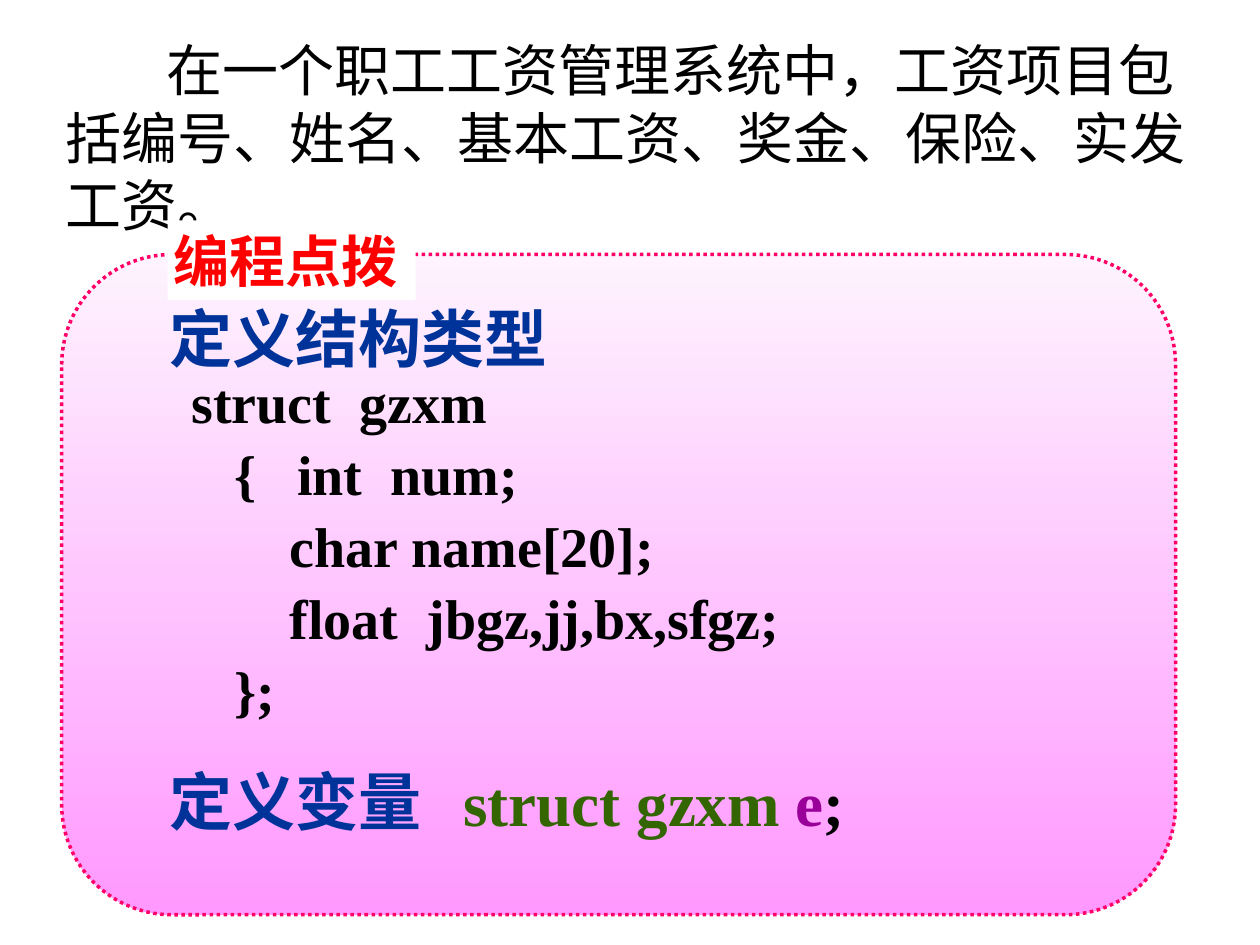
from pptx import Presentation
from pptx.dml.color import RGBColor
from pptx.enum.dml import MSO_LINE
from pptx.enum.shapes import MSO_SHAPE
from pptx.enum.text import MSO_ANCHOR, MSO_AUTO_SIZE, PP_ALIGN
from pptx.util import Inches, Pt


def rgb(value):
    return RGBColor.from_string(value)


class SlideBuilder:
    font = "Times New Roman"
    black = "000000"
    red = "FF0000"
    blue = "003399"
    green = "336600"
    purple = "990099"

    def __init__(self, slide):
        self.slide = slide

    def style(self, p, size, color=None, bold=True):
        p.font.name = self.font
        p.font.size = Pt(size)
        p.font.bold = bold
        if color:
            p.font.color.rgb = rgb(color)

    def indent(self, p, left, first):
        pPr = p._p.get_or_add_pPr()
        pPr.set("marL", str(Inches(left)))
        pPr.set("indent", str(Inches(first)))

    def place(self, sp, box):
        sp.left, sp.top, sp.width, sp.height = map(Inches, box)

    def title(self, text, box, first):
        sp = self.slide.shapes.title
        self.place(sp, box)
        tf = sp.text_frame
        tf.text = text
        tf.word_wrap = True
        tf.auto_size = MSO_AUTO_SIZE.NONE
        tf.vertical_anchor = MSO_ANCHOR.MIDDLE
        p = tf.paragraphs[0]
        p.alignment = PP_ALIGN.LEFT
        self.indent(p, 0, first)
        self.style(p, 32, self.black, bold=False)

    def panel(self, box):
        sp = self.slide.shapes.add_shape(MSO_SHAPE.ROUNDED_RECTANGLE, *map(Inches, box))
        sp.shadow.inherit = False
        sp.fill.gradient()
        sp.fill.gradient_angle = 270
        for stop, position, color in zip(sp.fill.gradient_stops, (0, 1), ("FEF3FE", "FF99FF")):
            stop.position = position
            stop.color.rgb = rgb(color)
        sp.line.color.rgb = rgb("FF0066")
        sp.line.width = Pt(2)
        sp.line.dash_style = MSO_LINE.ROUND_DOT

    def label(self, text, box):
        sp = self.slide.shapes.add_shape(MSO_SHAPE.RECTANGLE, *map(Inches, box))
        sp.shadow.inherit = False
        sp.fill.solid()
        sp.fill.fore_color.rgb = rgb("FFFFFF")
        sp.line.fill.background()
        tf = sp.text_frame
        tf.text = text
        tf.margin_left = tf.margin_right = 0
        tf.vertical_anchor = MSO_ANCHOR.TOP
        tf.auto_size = MSO_AUTO_SIZE.SHAPE_TO_FIT_TEXT
        p = tf.paragraphs[0]
        p.alignment = PP_ALIGN.CENTER
        p.space_before = Pt(20)
        self.style(p, 32, self.red)

    def text_box(self, box, wrap=True):
        tf = self.slide.shapes.add_textbox(*map(Inches, box)).text_frame
        tf.word_wrap = wrap
        tf.auto_size = MSO_AUTO_SIZE.SHAPE_TO_FIT_TEXT
        return tf

    def heading(self, text, box):
        tf = self.text_box(box, wrap=False)
        tf.text = text
        self.style(tf.paragraphs[0], 36, self.blue)

    def code(self, lines, box):
        tf = self.text_box(box)
        tf.text = "\n".join(text for text, left, first in lines)
        for p, (text, left, first) in zip(tf.paragraphs, lines):
            p.line_spacing = 0.55
            p.space_before = Pt(20)
            self.indent(p, left, first)
            self.style(p, 32, self.black)

    def declaration(self, parts, box):
        p = self.text_box(box).paragraphs[0]
        p.line_spacing = 0.55
        p.space_before = Pt(22.5)
        self.style(p, 36)
        for text, color in parts:
            r = p.add_run()
            r.text = text
            r.font.color.rgb = rgb(color)


def main():
    prs = Presentation()
    prs.slide_width, prs.slide_height = Inches(10), Inches(7.5)
    s = SlideBuilder(prs.slides.add_slide(prs.slide_layouts[5]))
    s.title("在一个职工工资管理系统中，工资项目包括编号、姓名、基本工资、奖金、保险、实发工资。",
            (0.42, 0.25, 9.25, 1.67), 0.8)
    s.panel((0.49, 2.02, 8.84, 5.24))
    s.label("编程点拨 ", (1.33, 1.75, 1.97, 0.63))
    s.declaration([("struct gzxm ", s.green), ("e", s.purple), (";", s.black)],
                  (3.58, 6.25, 5.08, 0.43))
    s.code([("struct  gzxm", 0, 0),
            ("{\tint  num;", 0.84, -0.5),
            ("char name[20];", 0.78, 0),
            ("float  jbgz,jj,bx,sfgz;", 0.78, 0),
            ("};", 0.34, 0)],
           (1.42, 3.08, 6.75, 2.68))
    s.heading("定义结构类型", (1.25, 2.33, 3.2, 0.7))
    s.heading("定义变量", (1.25, 6, 2.2, 0.7))
    prs.save("out.pptx")


if __name__ == "__main__":
    main()
